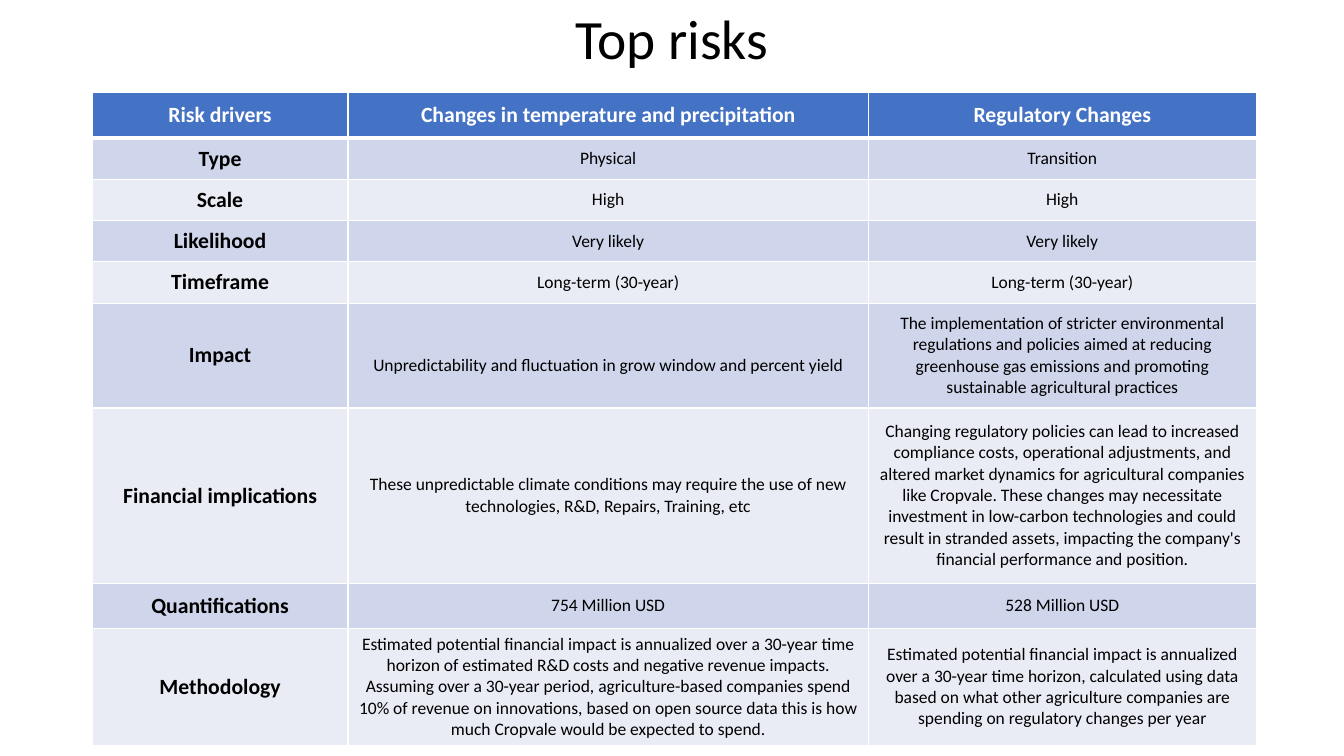
from dataclasses import dataclass

from lxml import etree
from pptx import Presentation
from pptx.dml.color import RGBColor
from pptx.enum.text import MSO_ANCHOR, PP_ALIGN
from pptx.oxml.ns import qn
from pptx.util import Cm, Pt

CENTER = PP_ALIGN.CENTER
MIDDLE = MSO_ANCHOR.MIDDLE


@dataclass
class Theme:
    font: str = "Calibri"
    black: str = "000000"
    white: str = "FFFFFF"
    header: str = "4472C4"
    bands: tuple = ("E9EBF5", "CFD5EA")
    title_size: float = 39.6
    label_size: float = 15.5
    body_size: float = 12.5
    line: float = 1
    header_line: float = 3


theme = Theme()


def write(tf, text, size, color, bold=False, spacing=None):
    tf.word_wrap = True
    for i, line in enumerate(text.split("\n")):
        p = tf.paragraphs[0] if i == 0 else tf.add_paragraph()
        p.alignment = CENTER
        if spacing:
            p.line_spacing = spacing
        r = p.add_run()
        r.text = line
        r.font.name = theme.font
        r.font.size = Pt(size)
        r.font.bold = bold
        r.font.color.rgb = RGBColor.from_string(color)


def add_border(cell, side, width):
    ln = etree.SubElement(cell._tc.get_or_add_tcPr(), qn(f"a:ln{side}"), w=str(Pt(width)))
    fill = etree.SubElement(ln, qn("a:solidFill"))
    etree.SubElement(fill, qn("a:srgbClr"), val=theme.white)


prs = Presentation()
prs.slide_width = Cm(33.87)
prs.slide_height = Cm(19.05)
s = prs.slides.add_slide(prs.slide_layouts[5])

title = s.shapes.title
title.left, title.top, title.width, title.height = Cm(2.34), Cm(0.3), Cm(29.18), Cm(1.5)
title.text_frame.vertical_anchor = MIDDLE
write(title.text_frame, "Top risks", size=theme.title_size, color=theme.black, spacing=0.9)

risks = [
    ("Risk drivers", "Changes in temperature and precipitation", "Regulatory Changes"),
    ("Type", "Physical", "Transition"),
    ("Scale", "High", "High"),
    ("Likelihood", "Very likely", "Very likely"),
    ("Timeframe", "Long-term (30-year)", "Long-term (30-year)"),
    ("Impact",
     "Unpredictability and fluctuation in grow window and percent yield",
     "The implementation of stricter environmental regulations and policies aimed at "
     "reducing greenhouse gas emissions and promoting sustainable agricultural practices"),
    ("Financial implications",
     "These unpredictable climate conditions may require the use of new technologies, "
     "R&D, Repairs, Training, etc",
     "Changing regulatory policies can lead to increased compliance costs, operational "
     "adjustments, and altered market dynamics for agricultural companies like Cropvale. "
     "These changes may necessitate investment in low-carbon technologies and could result "
     "in stranded assets, impacting the company's financial performance and position."),
    ("Quantifications", "754 Million USD", "528 Million USD"),
    ("Methodology",
     "Estimated potential financial impact is annualized over a 30-year time horizon of "
     "estimated R&D costs and negative revenue impacts.\n"
     "Assuming over a 30-year period, agriculture-based companies spend 10% of revenue on "
     "innovations, based on open source data this is how much Cropvale would be expected "
     "to spend.",
     "Estimated potential financial impact is annualized over a 30-year time horizon, "
     "calculated using data based on what other agriculture companies are spending on "
     "regulatory changes per year"),
]
widths = [6.45, 13.11, 9.78]
heights = [1.14] + [1.04] * 4 + [2.64, 4.42, 1.14, 2.92]

table = s.shapes.add_table(
    len(heights), len(widths), Cm(2.32), Cm(2.34), Cm(sum(widths)), Cm(sum(heights))
).table
for col, width in zip(table.columns, widths):
    col.width = Cm(width)
for row, height in zip(table.rows, heights):
    row.height = Cm(height)

for i, texts in enumerate(risks):
    for j, text in enumerate(texts):
        cell = table.cell(i, j)
        cell.vertical_anchor = MIDDLE
        head = i == 0
        label = head or j == 0
        for side in "LRTB":
            thick = (head and side == "B") or (i == 1 and side == "T")
            add_border(cell, side, theme.header_line if thick else theme.line)
        cell.fill.solid()
        cell.fill.fore_color.rgb = RGBColor.from_string(theme.header if head else theme.bands[i % 2])
        write(cell.text_frame, text, bold=label,
              size=theme.label_size if label else theme.body_size,
              color=theme.white if head else theme.black)

table.cell(5, 1).margin_top = Cm(0.64)

prs.save("out.pptx")
